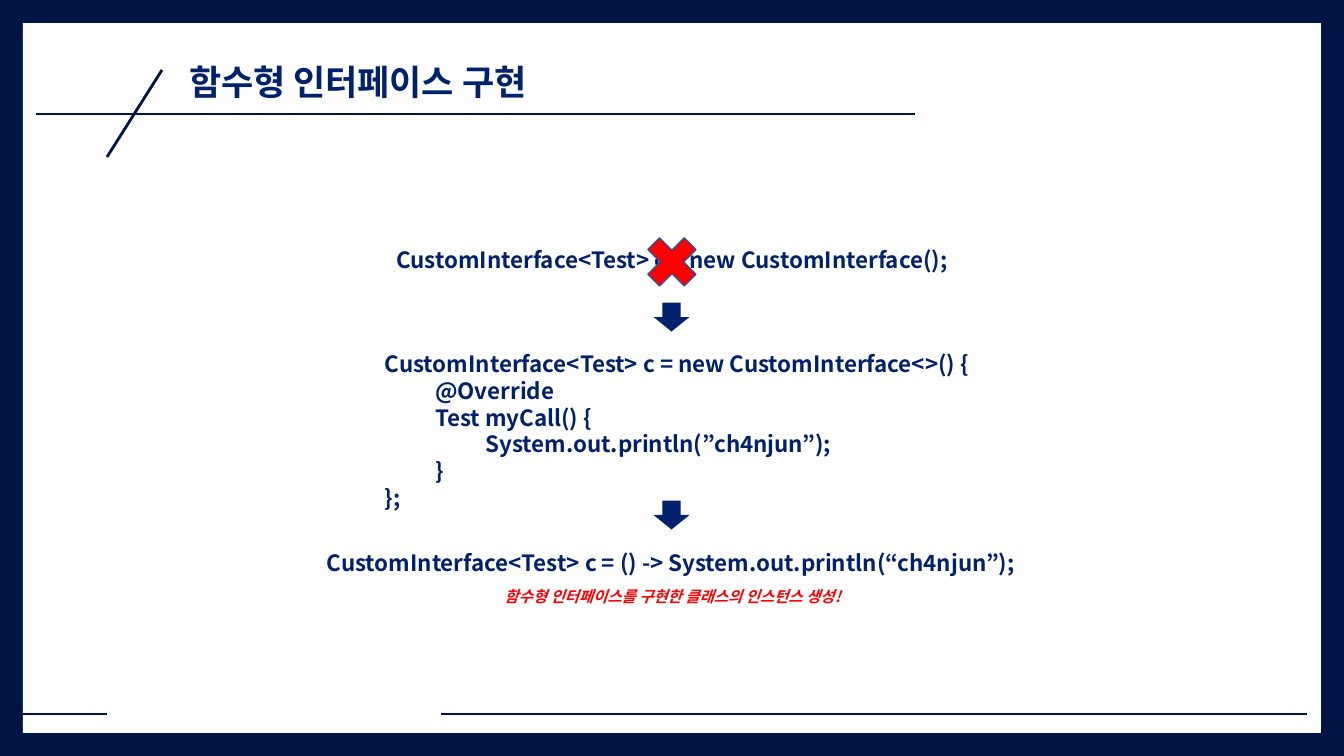
from pptx import Presentation, util as u
from pptx.dml.color import RGBColor
from pptx.enum import shapes, text
from pptx.oxml.ns import qn
from lxml import etree

PX = 914400 / 100.8
THEME = {
    "font": "Noto Sans CJK KR",
    "frame": RGBColor.from_string("001545"),
    "panel": RGBColor.from_string("FFFFFF"),
    "ink": RGBColor.from_string("00216C"),
    "alert": RGBColor.from_string("FF0000"),
    "cross_edge": RGBColor.from_string("325491"),
    "title": 25,
    "code": 16,
    "note": 11,
}
LEFT, CENTER = text.PP_ALIGN.LEFT, text.PP_ALIGN.CENTER


def px(*lengths):
    return [round(length * PX) for length in lengths]


def write(holder, lines, size, color, align, italic=False):
    frame = holder.text_frame
    frame_format = {
        "word_wrap": False,
        "auto_size": text.MSO_AUTO_SIZE.SHAPE_TO_FIT_TEXT,
        "vertical_anchor": text.MSO_ANCHOR.TOP,
    }
    for key, value in frame_format.items():
        setattr(frame, key, value)
    run_format = {"name": THEME["font"], "size": u.Pt(THEME[size]), "bold": True, "italic": italic}
    for index, line in enumerate(lines):
        paragraph = frame.add_paragraph() if index else frame.paragraphs[0]
        paragraph.alignment = align
        run = paragraph.add_run()
        run.text = line
        for key, value in run_format.items():
            setattr(run.font, key, value)
        run.font.color.rgb = THEME[color]
        latin = run.font._element.find(qn("a:latin"))
        east_asian = etree.Element(qn("a:ea"), typeface=THEME["font"])
        latin.addnext(east_asian)


deck = Presentation()
deck.slide_width, deck.slide_height = px(1344, 756)
slide = deck.slides.add_slide(deck.slide_layouts[5])
slide.background.fill.solid()
slide.background.fill.fore_color.rgb = THEME["frame"]

panel = slide.shapes.add_shape(shapes.MSO_SHAPE.RECTANGLE, *px(23, 23, 1298, 710))
panel.shadow.inherit = False
panel.fill.solid()
panel.fill.fore_color.rgb = THEME["panel"]
panel.line.fill.background()
slide.shapes.title._element.addprevious(panel._element)

for ends in [(915, 114, 36, 114), (107, 157, 162, 70), (1307, 714, 441, 714), (107, 714, 23, 714)]:
    rule = slide.shapes.add_connector(shapes.MSO_CONNECTOR.STRAIGHT, *px(*ends))
    rule.line.color.rgb = THEME["frame"]
    rule.line.width = u.Pt(2)
    etree.SubElement(rule._element.spPr, qn("a:effectLst"))

heading = slide.shapes.title
for side, length in zip(("left", "top", "width", "height"), px(179, 55, 397, 52)):
    setattr(heading, side, length)
write(heading, ["함수형 인터페이스 구현"], "title", "ink", LEFT)

direct_creation = ["CustomInterface<Test> c = new CustomInterface();"]
anonymous_class = [
    "CustomInterface<Test> c = new CustomInterface<>() {",
    "\t@Override",
    "\tTest myCall() {",
    "\t\tSystem.out.println(”ch4njun”);",
    "\t}",
    "};",
]
lambda_form = ["CustomInterface<Test> c = () -> System.out.println(“ch4njun”);"]
remark = ["함수형 인터페이스를 구현한 클래스의 인스턴스 생성!"]

for box, lines, size, color, align, italic in [
    ((381, 241, 582, 37), direct_creation, "code", "ink", CENTER, False),
    ((375, 345, 616, 173), anonymous_class, "code", "ink", LEFT, False),
    ((313, 544, 716, 37), lambda_form, "code", "ink", CENTER, False),
    ((476, 582, 393, 29), remark, "note", "alert", CENTER, True),
]:
    write(slide.shapes.add_textbox(*px(*box)), lines, size, color, align, italic)

for top in (299, 497):
    step = slide.shapes.add_shape(shapes.MSO_SHAPE.RIGHT_ARROW, *px(657, top, 29, 36))
    step.rotation = 90
    step.shadow.inherit = False
    step.fill.solid()
    step.fill.fore_color.rgb = THEME["ink"]
    step.line.fill.background()

cross = slide.shapes.add_shape(shapes.MSO_SHAPE.MATH_MULTIPLY, *px(637, 227, 70, 70))
cross.shadow.inherit = False
cross.fill.solid()
cross.fill.fore_color.rgb = THEME["alert"]
cross.line.color.rgb = THEME["cross_edge"]
cross.line.width = u.Pt(1)

deck.save("out.pptx")
